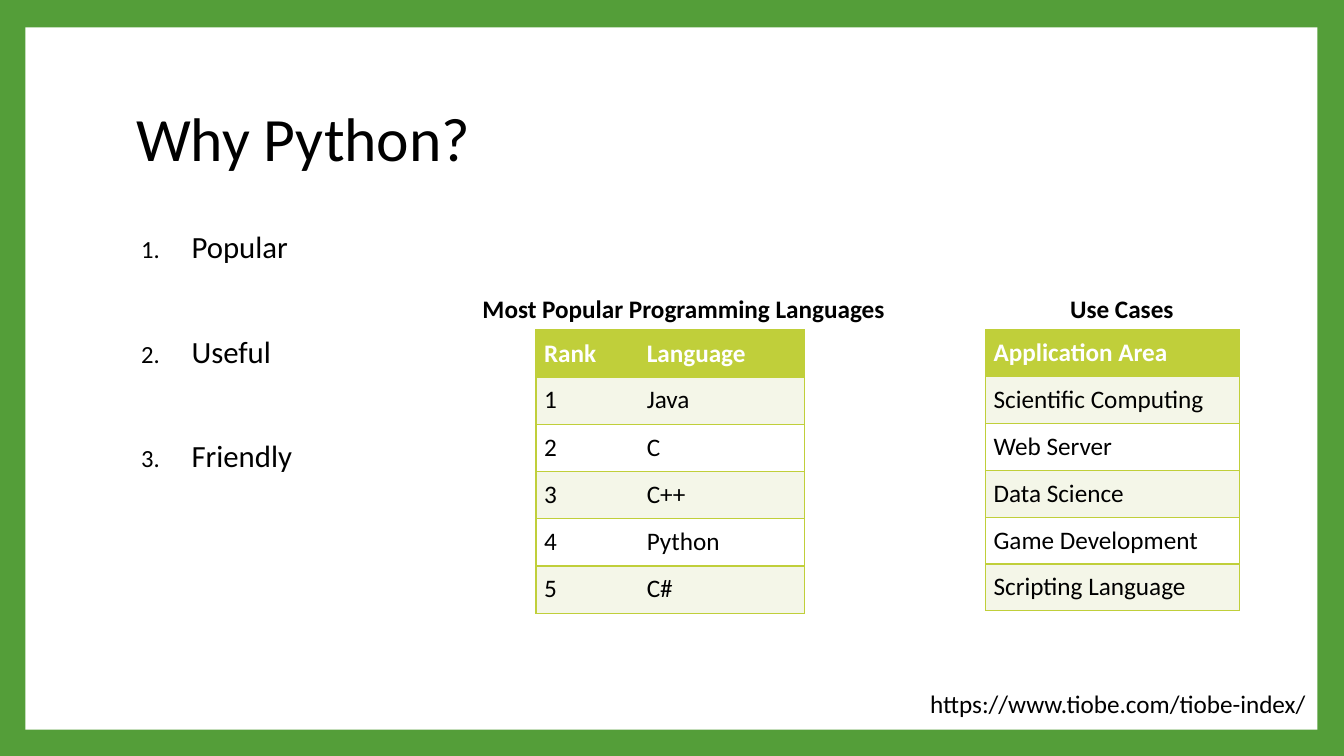
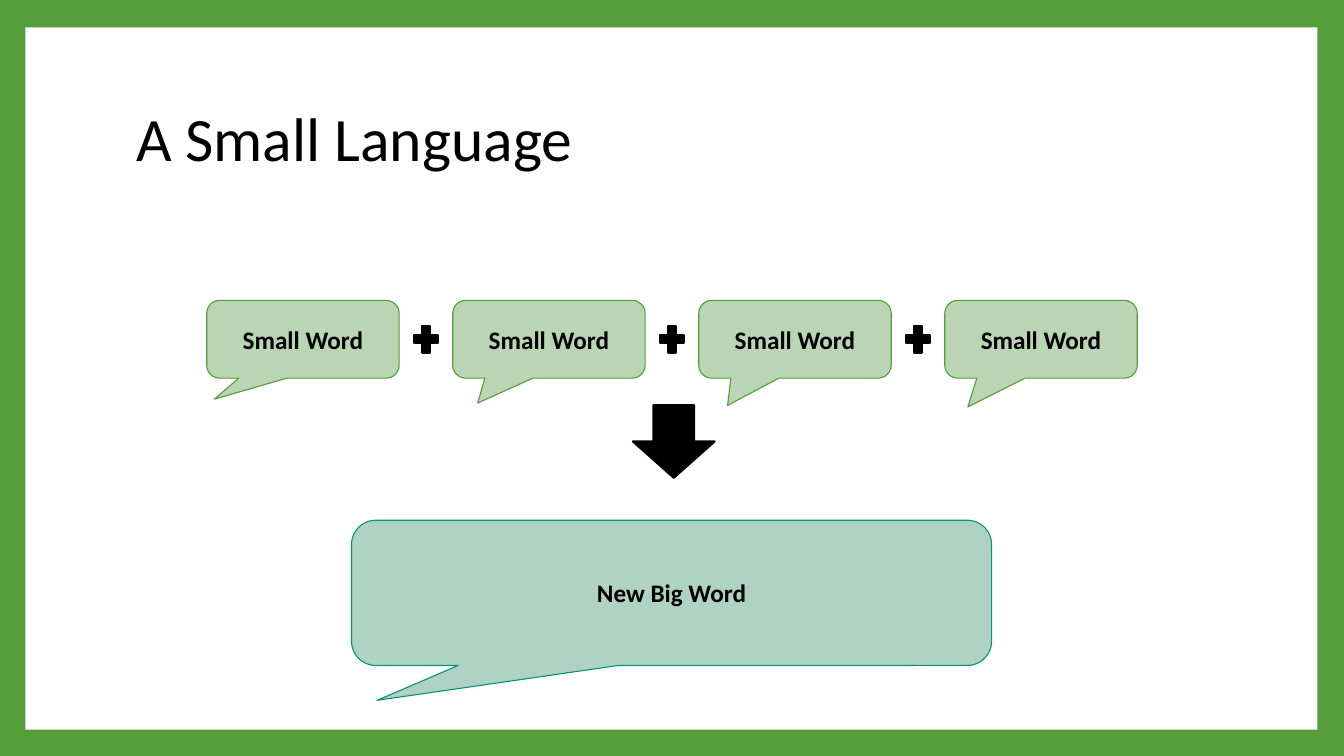
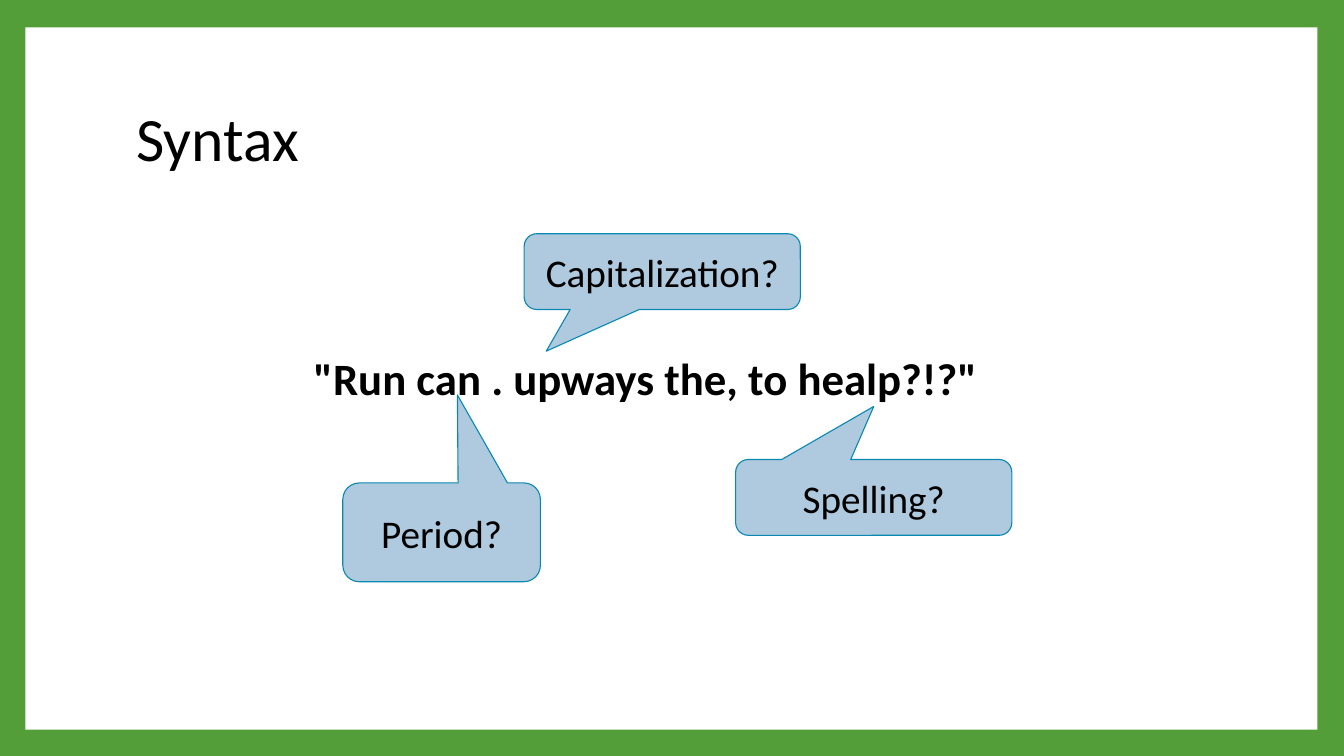
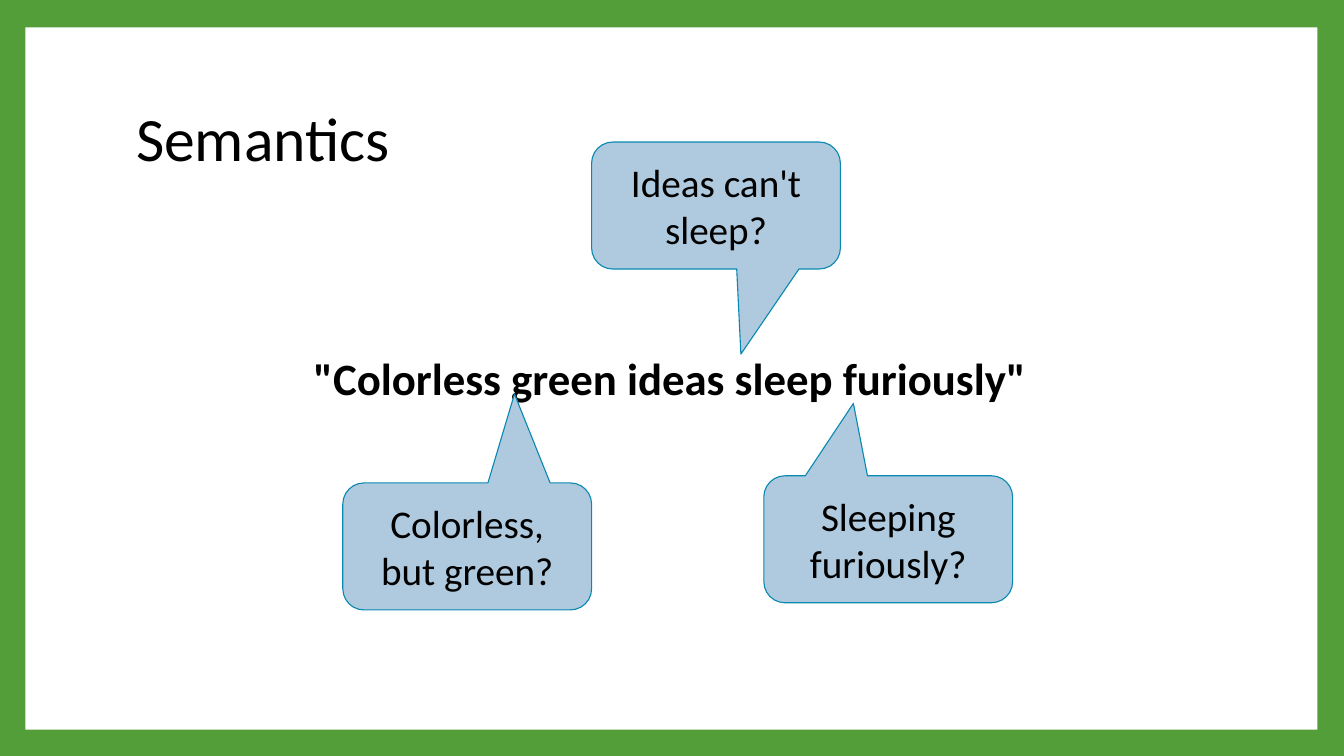
from lxml.etree import SubElement
from pptx import Presentation
from pptx.dml.color import RGBColor
from pptx.enum.shapes import MSO_SHAPE
from pptx.enum.text import MSO_ANCHOR, MSO_AUTO_SIZE, PP_ALIGN
from pptx.oxml.ns import qn
from pptx.util import Cm, Pt

# Shared style
FONT = "Calibri"
BLACK = RGBColor(0x00, 0x00, 0x00)
WHITE = RGBColor(0xFF, 0xFF, 0xFF)
GREEN = RGBColor(0x54, 0x9E, 0x39)
LIGHT_GREEN = RGBColor(0xB9, 0xD5, 0xB3)
TEAL = RGBColor(0x02, 0x96, 0x76)
LIGHT_TEAL = RGBColor(0xB0, 0xD2, 0xC4)
BLUE = RGBColor(0x09, 0x89, 0xB1)
LIGHT_BLUE = RGBColor(0xAF, 0xCA, 0xDE)
LIME = RGBColor(0xC0, 0xCF, 0x3A)
LIGHT_LIME = RGBColor(0xF4, 0xF6, 0xE8)

# Content: boxes are left, top, width, height in centimetres
PANEL_BOX = (0.64, 0.69, 32.56, 17.7)
TITLE_BOX = (3.18, 1.7, 27.43, 3.76)

REASONS = ["Popular", "Useful", "Friendly"]
REASONS_BOX = (3.18, 5.72, 27.43, 11.23)
TABLES = [
    {"caption": "Most Popular Programming Languages",
     "caption_box": (11.91, 7.26, 11.28, 1.02),
     "corner": (13.51, 8.31), "columns": (2.59, 4.17), "row_height": 1.19,
     "rows": [("Rank", "Language"), ("1", "Java"), ("2", "C"),
              ("3", "C++"), ("4", "Python"), ("5", "C#")]},
    {"caption": "Use Cases",
     "caption_box": (26.72, 7.26, 3.25, 1.02),
     "corner": (24.84, 8.31), "columns": (6.4,), "row_height": 1.18,
     "rows": [("Application Area",), ("Scientific Computing",), ("Web Server",),
              ("Data Science",), ("Game Development",), ("Scripting Language",)]},
]
SOURCE = "https://www.tiobe.com/tiobe-index/"
SOURCE_BOX = (23.19, 17.22, 10.03, 1.02)

SMALL_WORD_TAILS = [(-0.46, 0.77), (-0.37, 0.82), (-0.35, 0.85), (-0.38, 0.87)]
WORD_LEFT, WORD_TOP, WORD_WIDTH, WORD_HEIGHT = 5.21, 7.57, 4.85, 1.96
WORD_GAP = 1.35
PLUS_WIDTH, PLUS_HEIGHT = 0.84, 0.91
ARROW_BOX = (15.95, 10.21, 2.06, 1.83)
BIG_WORD_BOX = (8.86, 13.11, 16.13, 3.66)

# Title, sentence, sentence width, callouts as (text, box, tail)
SENTENCE_SLIDES = [
    ("Syntax", '"Run can . upways the, to healp?!?"', 17.78, [
        ("Period?", (8.64, 12.17, 4.98, 2.49), (0.08, -1.39)),
        ("Capitalization?", (13.21, 5.89, 6.96, 1.91), (-0.42, 1.05)),
        ("Spelling?", (18.54, 11.58, 6.96, 1.91), (0, -1.2))]),
    ("Semantics", '"Colorless green ideas sleep furiously"', 19.1, [
        ("Colorless, but green?", (8.64, 12.17, 6.27, 3.2), (0.19, -1.2)),
        ("Ideas can't sleep?", (14.91, 3.58, 6.27, 3.2), (0.1, 1.17)),
        ("Sleeping furiously?", (19.25, 11.99, 6.27, 3.2), (-0.14, -1.07))]),
]


def lengths(box):
    return [Cm(value) for value in box]


def style(paragraph, size, bold=False, color=BLACK):
    font = paragraph.font
    font.name, font.size, font.bold = FONT, Pt(size), bold
    font.color.rgb = color


def add_shape(slide, kind, box, fill, line=None, line_width=0.79):
    shape = slide.shapes.add_shape(kind, *lengths(box))
    shape.shadow.inherit = False
    shape.fill.solid()
    shape.fill.fore_color.rgb = fill
    if line is None:
        shape.line.fill.background()
    else:
        shape.line.color.rgb = line
        shape.line.width = Pt(line_width)
    return shape


def add_callout(slide, text, box, tail, fill, line, size, bold=False):
    shape = add_shape(slide, MSO_SHAPE.ROUNDED_RECTANGULAR_CALLOUT, box, fill, line)
    shape.adjustments[0], shape.adjustments[1] = tail
    frame = shape.text_frame
    frame.word_wrap = True
    frame.vertical_anchor = MSO_ANCHOR.MIDDLE
    paragraph = frame.paragraphs[0]
    paragraph.text = text
    paragraph.alignment = PP_ALIGN.CENTER
    style(paragraph, size, bold)


def add_label(slide, text, box, size, bold=False):
    frame = slide.shapes.add_textbox(*lengths(box)).text_frame
    frame.word_wrap = False
    frame.auto_size = MSO_AUTO_SIZE.SHAPE_TO_FIT_TEXT
    frame.text = text
    style(frame.paragraphs[0], size, bold)


def add_slide(presentation, title):
    slide = presentation.slides.add_slide(presentation.slide_layouts[6])
    add_shape(slide, MSO_SHAPE.RECTANGLE, PANEL_BOX, WHITE)
    frame = slide.shapes.add_textbox(*lengths(TITLE_BOX)).text_frame
    frame.word_wrap = True
    frame.vertical_anchor = MSO_ANCHOR.MIDDLE
    frame.text = title
    frame.paragraphs[0].line_spacing = 0.9
    style(frame.paragraphs[0], 44)
    return slide


def add_numbered_list(slide, items, box):
    frame = slide.shapes.add_textbox(*lengths(box)).text_frame
    frame.word_wrap = True
    for index, item in enumerate(items):
        paragraph = frame.add_paragraph() if index else frame.paragraphs[0]
        paragraph.text = item
        paragraph.line_spacing = 0.9
        if index:
            paragraph.space_before = Pt(51)
        properties = paragraph._p.get_or_add_pPr()
        properties.set("marL", str(Cm(1.4)))
        properties.set("indent", str(-Cm(1.27)))
        SubElement(properties, qn("a:buSzPct"), val="80000")
        SubElement(properties, qn("a:buFont"), typeface="+mj-lt")
        SubElement(properties, qn("a:buAutoNum"), type="arabicPeriod")
        style(paragraph, 22)


def set_borders(cell, visible_sides):
    properties = cell._tc.get_or_add_tcPr()
    for side in "LRTB":
        line = SubElement(properties, qn(f"a:ln{side}"), w=str(Pt(1)))
        if side in visible_sides:
            fill = SubElement(line, qn("a:solidFill"))
            SubElement(fill, qn("a:srgbClr"), val=str(LIME))
        else:
            SubElement(line, qn("a:noFill"))


def add_table(slide, corner, columns, row_height, rows):
    box = (*corner, sum(columns), row_height * len(rows))
    table = slide.shapes.add_table(len(rows), len(columns), *lengths(box)).table
    table.first_row = table.horz_banding = False
    for column, width in zip(table.columns, columns):
        column.width = Cm(width)
    for row_index, texts in enumerate(rows):
        header = row_index == 0
        table.rows[row_index].height = Cm(row_height)
        for column_index, text in enumerate(texts):
            cell = table.cell(row_index, column_index)
            cell.text = text
            cell.margin_left = cell.margin_right = Cm(0.2)
            cell.margin_top = cell.margin_bottom = Cm(0.2)
            cell.vertical_anchor = MSO_ANCHOR.BOTTOM if header else MSO_ANCHOR.TOP
            left = "L" if column_index == 0 else ""
            right = "R" if column_index == len(columns) - 1 else ""
            set_borders(cell, "TB" + left + right)
            cell.fill.solid()
            band = LIGHT_LIME if row_index % 2 else WHITE
            cell.fill.fore_color.rgb = LIME if header else band
            style(cell.text_frame.paragraphs[0], 18, header, WHITE if header else BLACK)


def build_why_python(presentation):
    slide = add_slide(presentation, "Why Python?")
    add_numbered_list(slide, REASONS, REASONS_BOX)
    for table in TABLES:
        add_label(slide, table["caption"], table["caption_box"], 18, bold=True)
        add_table(slide, table["corner"], table["columns"],
                  table["row_height"], table["rows"])
    add_label(slide, SOURCE, SOURCE_BOX, 18)


def build_small_language(presentation):
    slide = add_slide(presentation, "A Small Language")
    add_callout(slide, "New Big Word", BIG_WORD_BOX, (-0.46, 0.74),
                LIGHT_TEAL, TEAL, 18, bold=True)
    add_shape(slide, MSO_SHAPE.DOWN_ARROW, ARROW_BOX, BLACK, BLACK, 1.5)
    plus_top = WORD_TOP + (WORD_HEIGHT - PLUS_HEIGHT) / 2
    for index, tail in enumerate(SMALL_WORD_TAILS):
        left = WORD_LEFT + index * (WORD_WIDTH + WORD_GAP)
        add_callout(slide, "Small Word", (left, WORD_TOP, WORD_WIDTH, WORD_HEIGHT),
                    tail, LIGHT_GREEN, GREEN, 18, bold=True)
        if index:  # plus sign centred in the gap before this word
            plus_left = left - (WORD_GAP + PLUS_WIDTH) / 2
            add_shape(slide, MSO_SHAPE.MATH_PLUS,
                      (plus_left, plus_top, PLUS_WIDTH, PLUS_HEIGHT), BLACK, BLACK, 1.5)


def build_sentence(presentation, title, sentence, width, callouts):
    slide = add_slide(presentation, title)
    add_label(slide, sentence, (7.65, 8.71, width, 1.63), 32, bold=True)
    for text, box, tail in callouts:
        add_callout(slide, text, box, tail, LIGHT_BLUE, BLUE, 28)


def main():
    presentation = Presentation()
    presentation.slide_width, presentation.slide_height = Cm(33.87), Cm(19.05)
    background = presentation.slide_master.background.fill
    background.solid()
    background.fore_color.rgb = GREEN
    build_why_python(presentation)
    build_small_language(presentation)
    for content in SENTENCE_SLIDES:
        build_sentence(presentation, *content)
    presentation.save("out.pptx")


if __name__ == "__main__":
    main()
